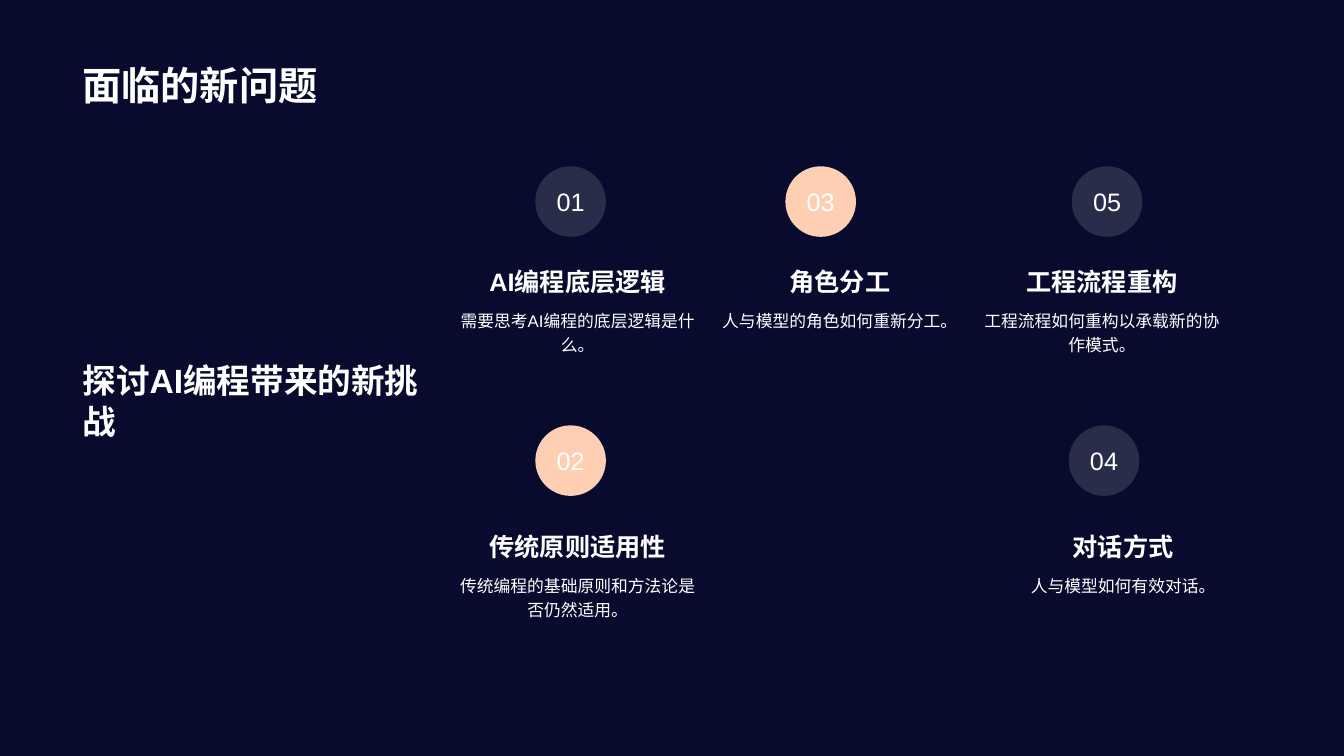
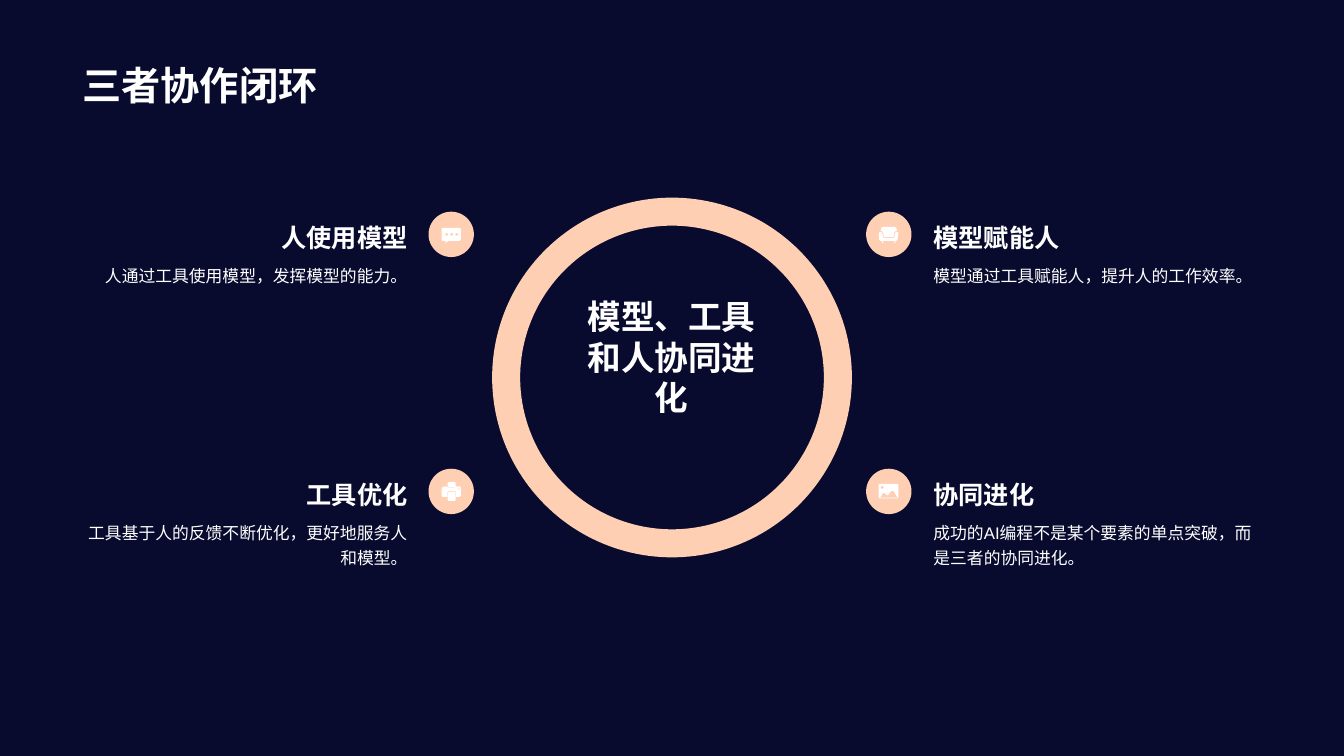
from math import cos, pi, sin

from lxml import etree
from pptx import Presentation
from pptx.dml.color import RGBColor
from pptx.enum.shapes import MSO_SHAPE
from pptx.enum.text import MSO_ANCHOR, PP_ALIGN
from pptx.oxml.ns import qn
from pptx.util import Inches, Pt

LEFT, CENTER, RIGHT = PP_ALIGN.LEFT, PP_ALIGN.CENTER, PP_ALIGN.RIGHT
TOP, MIDDLE, BOTTOM = MSO_ANCHOR.TOP, MSO_ANCHOR.MIDDLE, MSO_ANCHOR.BOTTOM
OVAL = MSO_SHAPE.OVAL

COLORS = {"night": "080B2E", "peach": "FFCFB3", "mist": "F0F0F0", "white": "FFFFFF"}
FONT = "Arial"

QUESTIONS_TITLE = "面临的新问题"
QUESTIONS_LEAD = "探讨AI编程带来的新挑战"
BADGE_SIZE = 0.7
QUESTION_WIDTH = 2.6
QUESTION_ROWS = [{"badge": 1.65, "heading": 2.43}, {"badge": 4.22, "heading": 5.06}]
QUESTIONS = [
    ("01", "AI编程底层逻辑", "需要思考AI编程的底层逻辑是什么。", 0, 5.31, 4.43, "mist"),
    ("02", "传统原则适用性", "传统编程的基础原则和方法论是否仍然适用。", 1, 5.31, 4.43, "peach"),
    ("03", "角色分工", "人与模型的角色如何重新分工。", 0, 7.79, 7.03, "peach"),
    ("04", "对话方式", "人与模型如何有效对话。", 1, 10.6, 9.84, "mist"),
    ("05", "工程流程重构", "工程流程如何重构以承载新的协作模式。", 0, 10.63, 9.63, "mist"),
]

LOOP_TITLE = "三者协作闭环"
LOOP_CENTER = "模型、工具和人协同进化"
ICON_SIZE = 0.45
LOOP_ROWS = [2.1, 4.65]
LOOP_SIDES = [(4.25, 0.71, RIGHT), (8.59, 9.16, LEFT)]
LOOP_STEPS = [
    ("人使用模型", "人通过工具使用模型，发挥模型的能力。", 0, 0, "chat"),
    ("模型赋能人", "模型通过工具赋能人，提升人的工作效率。", 0, 1, "sofa"),
    ("工具优化", "工具基于人的反馈不断优化，更好地服务人和模型。", 1, 0, "printer"),
    ("协同进化", "成功的AI编程不是某个要素的单点突破，而是三者的协同进化。", 1, 1, "photo"),
]


def dot(x, y, radius):
    return [(x + radius * cos(k * pi / 6), y + radius * sin(k * pi / 6)) for k in range(12)]


def rounded(x1, y1, x2, y2):
    return [(x1 + 1, y1), (x2 - 1, y1), (x2, y1 + 1), (x2, y2 - 1),
            (x2 - 1, y2), (x1 + 1, y2), (x1, y2 - 1), (x1, y1 + 1)]


ICONS = {
    "chat": [
        [(14, 16), (31, 16), (32, 17), (32, 28), (31, 29), (20, 29),
         (17, 31), (17, 29), (14, 29), (13, 28), (13, 17)],
        *[dot(x, 22.5, 1.4) for x in (18, 23, 28)],
    ],
    "sofa": [
        [(30, 20), (32, 21), (32, 22), (31, 28), (30, 29), (29, 29), (29, 31),
         (28, 31), (28, 29), (17, 29), (17, 31), (16, 31), (16, 29), (14, 29),
         (13, 28), (12.5, 22), (13, 21), (14, 20), (16, 21), (17, 26), (28, 26), (29, 21)],
        [(17, 15), (28, 15), (30, 16), (30.5, 19), (29, 19.5), (28, 21),
         (27.5, 25), (17.5, 25), (17, 21), (16, 19.5), (14.5, 19), (15, 16)],
    ],
    "printer": [
        rounded(19, 23, 27, 32),
        [(14, 18), (18, 17.5), (19, 18.5), (26, 18.5), (27, 17.5), (31, 17.5),
         (32, 18.5), (32, 27), (31, 28), (27.5, 28), (27.5, 23.5), (26.5, 22.3),
         (19.5, 22.3), (18.5, 23.5), (18.5, 28), (14, 28), (13, 27), (13, 20)],
        dot(30, 20, 0.7),
        rounded(19, 13, 27, 18),
    ],
    "photo": [
        rounded(12.5, 15, 32, 29.5),
        [(14, 28.5), (17, 24), (18, 24), (21, 26.5), (22, 26), (25, 22),
         (27, 22), (31, 28), (31, 28.7), (14, 28.7)],
        dot(16, 18.5, 1.5),
    ],
}


def color(key):
    return RGBColor.from_string(COLORS[key])


def write(frame, text, size, align=LEFT, anchor=TOP, bold=False, spacing=None):
    frame.vertical_anchor = anchor
    paragraph = frame.paragraphs[0]
    paragraph.text = text
    paragraph.alignment = align
    if spacing:
        paragraph.line_spacing = spacing
    font = paragraph.font
    font.size, font.bold, font.name = Pt(size), bold, FONT
    font.color.rgb = color("white")
    defaults = paragraph._p.pPr.find(qn("a:defRPr"))
    etree.SubElement(defaults, qn("a:ea"), typeface=FONT)


def add_text(slide, box, text, size, **style):
    frame = slide.shapes.add_textbox(*map(Inches, box)).text_frame
    frame.word_wrap = True
    write(frame, text, size, **style)


def add_disc(slide, left, top, size, fill, alpha=None):
    disc = slide.shapes.add_shape(OVAL, *map(Inches, (left, top, size, size)))
    disc.shadow.inherit = False
    disc.fill.solid()
    disc.fill.fore_color.rgb = color(fill)
    disc.line.fill.background()
    if alpha:
        tone = disc._element.spPr.find(qn("a:solidFill"))[0]
        etree.SubElement(tone, qn("a:alpha"), val=str(alpha * 1000))
    return disc


def add_ring(slide, left, top, size, weight):
    ring = slide.shapes.add_shape(OVAL, *map(Inches, (left, top, size, size)))
    ring.shadow.inherit = False
    ring.fill.background()
    ring.line.color.rgb = color("peach")
    ring.line.width = Pt(weight)


def add_icon(slide, left, top, contours):
    outlines = [[(Inches(left + x / 100), Inches(top + y / 100)) for x, y in contour]
                for contour in contours]
    builder = slide.shapes.build_freeform(*outlines[0][0])
    for number, outline in enumerate(outlines):
        if number:
            builder.move_to(*outline[0])
        builder.add_line_segments(outline[1:], close=True)
    icon = builder.convert_to_shape()
    icon.shadow.inherit = False
    icon.fill.solid()
    icon.fill.fore_color.rgb = color("white")
    icon.line.fill.background()


def add_entry(slide, left, top, width, heights, heading, body, align):
    heading_height, body_height = heights
    add_text(slide, (left, top, width, heading_height), heading, 18,
             align=align, anchor=BOTTOM, bold=True)
    add_text(slide, (left, top + heading_height, width, body_height), body, 12,
             align=align, spacing=1.2)


def add_titled_slide(prs, title):
    slide = prs.slides.add_slide(prs.slide_layouts[6])
    add_text(slide, (0.72, 0.14, 11.88, 0.98), title, 28, anchor=BOTTOM, bold=True)
    return slide


def build_questions(prs):
    slide = add_titled_slide(prs, QUESTIONS_TITLE)
    add_text(slide, (0.72, 1.24, 3.84, 5.47), QUESTIONS_LEAD, 24, anchor=MIDDLE, bold=True)
    for number, heading, body, row, badge_left, text_left, tone in QUESTIONS:
        tops = QUESTION_ROWS[row]
        badge = add_disc(slide, badge_left, tops["badge"], BADGE_SIZE, tone,
                         alpha=15 if tone == "mist" else None)
        badge.text_frame.word_wrap = False
        write(badge.text_frame, number, 18, align=CENTER, anchor=MIDDLE)
        add_entry(slide, text_left, tops["heading"], QUESTION_WIDTH, (0.56, 0.94),
                  heading, body, CENTER)


def build_loop(prs):
    slide = add_titled_slide(prs, LOOP_TITLE)
    add_ring(slide, 5.02, 2.1, 3.29, 20)
    add_text(slide, (5.6, 2.89, 2.12, 1.72), LOOP_CENTER, 24, align=CENTER, bold=True)
    for heading, body, row, side, icon in LOOP_STEPS:
        top = LOOP_ROWS[row]
        disc_left, text_left, align = LOOP_SIDES[side]
        add_disc(slide, disc_left, top, ICON_SIZE, "peach")
        add_icon(slide, disc_left, top, ICONS[icon])
        add_entry(slide, text_left, top - 0.17, 3.43, (0.62, 1.05), heading, body, align)


def main():
    prs = Presentation()
    prs.slide_width, prs.slide_height = Inches(13.33), Inches(7.5)
    backdrop = prs.slide_master.background.fill
    backdrop.solid()
    backdrop.fore_color.rgb = color("night")
    build_questions(prs)
    build_loop(prs)
    prs.save("out.pptx")


if __name__ == "__main__":
    main()
